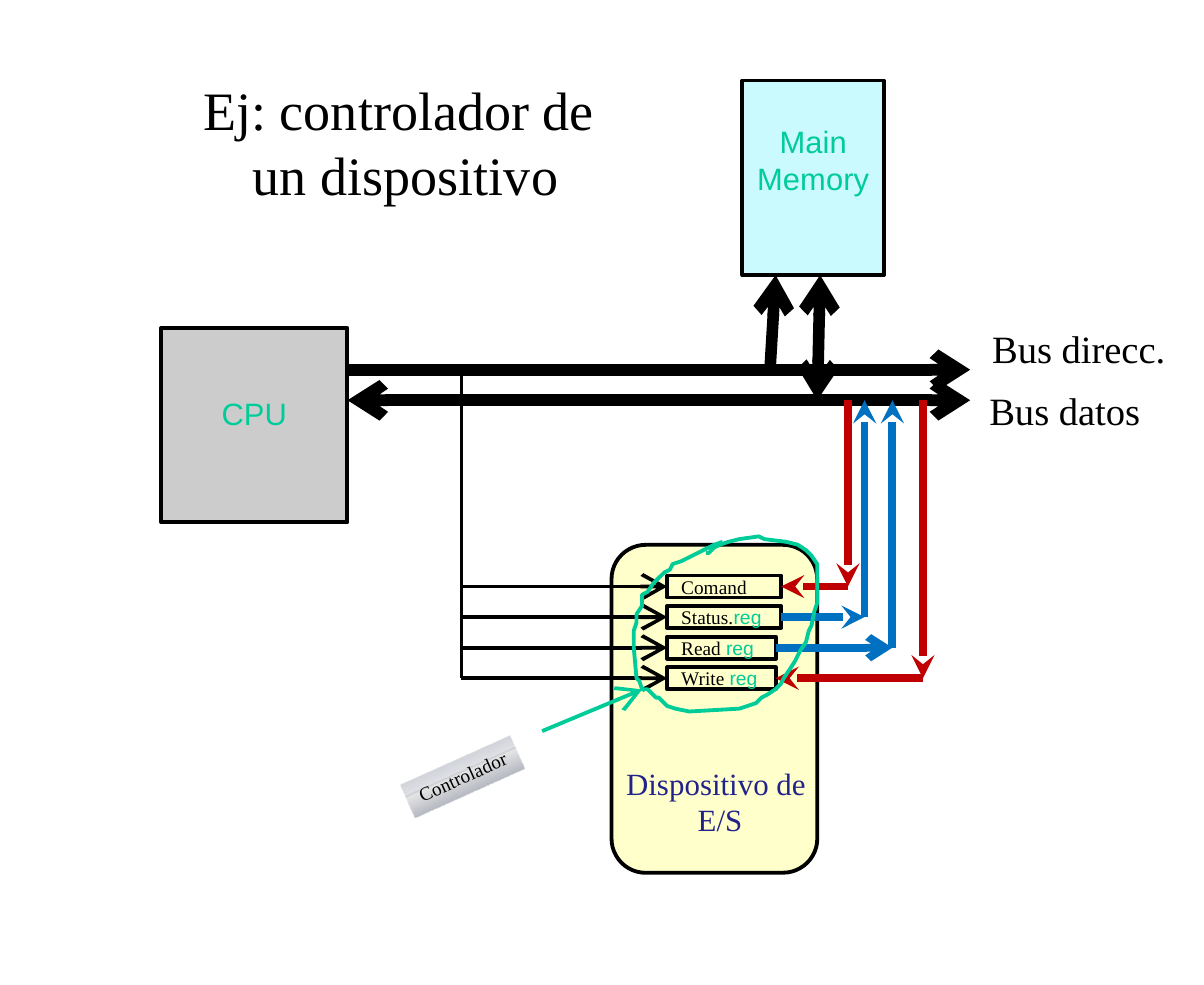
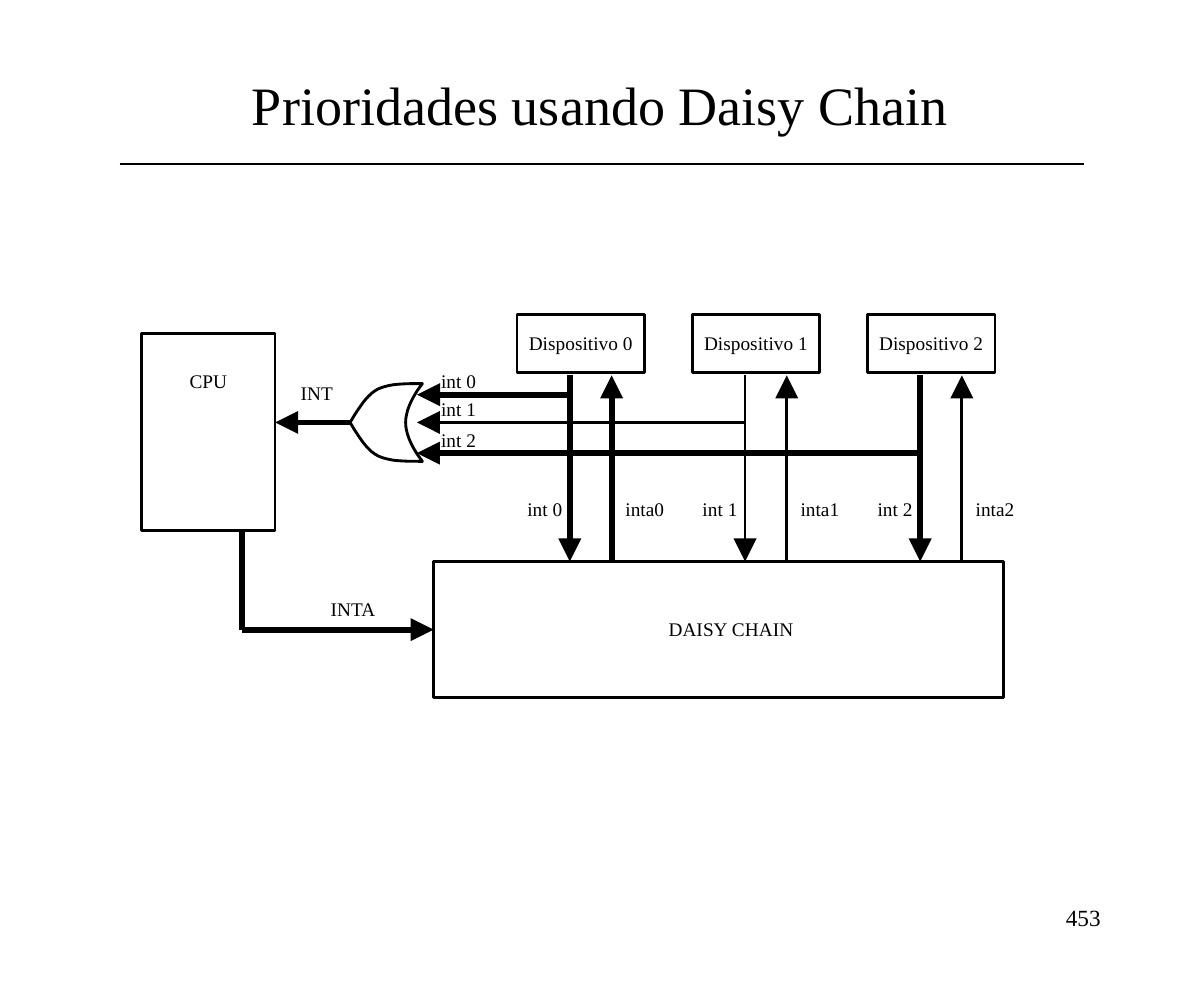
"""Build two slides on device controllers and daisy-chain interrupt priorities."""
from dataclasses import dataclass
from typing import Optional

from lxml.etree import SubElement
from pptx import Presentation
from pptx.dml.color import RGBColor
from pptx.enum.shapes import MSO_CONNECTOR, MSO_SHAPE
from pptx.enum.text import MSO_ANCHOR, MSO_AUTO_SIZE, PP_ALIGN
from pptx.oxml.ns import qn
from pptx.util import Cm, Inches, Pt

COLORS = {
    "black": "000000", "green": "00CC99", "red": "C00000", "blue": "0070C0",
    "navy": "22228B", "gray": "CCCCCC", "cyan": "CAF9FE", "cream": "FFFFCC",
}
SERIF, SANS = "Times New Roman", "Arial"
INSETS = (0.04, 0.02, 0.04, 0.02)
GRADIENT = (
    (0, "FFFFFF", 100), (7, "E6E6E6", 100), (45, "7D8496", 24),
    (47, "E6E6E6", 100), (85, "7D8496", 100), (100, "E6E6E6", 100),
)
LOOP = (
    (2.60, 1.95), (2.57, 1.96), (2.53, 1.98), (2.51, 1.99), (2.47, 2.01), (2.45, 2.02),
    (2.42, 2.03), (2.41, 2.05), (2.39, 2.06), (2.37, 2.08), (2.35, 2.10), (2.33, 2.13),
    (2.31, 2.14), (2.31, 2.18), (2.29, 2.21), (2.29, 2.24), (2.28, 2.27), (2.28, 2.33),
    (2.29, 2.44), (2.30, 2.45), (2.31, 2.48), (2.33, 2.48), (2.36, 2.51), (2.37, 2.51),
    (2.40, 2.54), (2.43, 2.55), (2.48, 2.56), (2.66, 2.55), (2.69, 2.54), (2.72, 2.53),
    (2.74, 2.51), (2.76, 2.50), (2.79, 2.48), (2.81, 2.46), (2.82, 2.44), (2.84, 2.41),
    (2.86, 2.38), (2.88, 2.34), (2.90, 2.31), (2.91, 2.27), (2.92, 2.25), (2.93, 2.20),
    (2.94, 2.17), (2.94, 2.03), (2.92, 2.00), (2.90, 1.98), (2.87, 1.96), (2.83, 1.95),
    (2.75, 1.94), (2.73, 1.93), (2.66, 1.94), (2.62, 1.95), (2.59, 1.96), (2.57, 1.97),
    (2.55, 1.99), (2.54, 1.99),
)


@dataclass(frozen=True)
class Run:
    text: str
    size: float = 5
    font: str = SERIF
    color: str = "black"


@dataclass(frozen=True)
class Register:
    runs: tuple
    width: float
    riser: float
    writable: bool
    arrow: str = "stealth"


@dataclass(frozen=True)
class Device:
    name: str
    request_y: float
    request_pt: float
    grant_pt: float


REG = Run("reg", font=SANS, color="green")
REGISTERS = (
    Register((Run("Comand"),), 0.41, 3.05, True),
    Register((Run("Status."), REG), 0.41, 3.11, False),
    Register((Run("Read "), REG), 0.39, 3.21, False, "arrow"),
    Register((Run("Write "), REG), 0.39, 3.32, True),
)
DEVICES = (
    Device("Dispositivo 0", 1.42, 1.5, 1.5),
    Device("Dispositivo 1", 1.52, 0.75, 0.75),
    Device("Dispositivo 2", 1.63, 1.5, 0.75),
)


def rgb(name: str) -> RGBColor:
    return RGBColor.from_string(COLORS[name])


def add_run(p, run: Run) -> None:
    r = p.add_run()
    r.text = run.text
    for key, value in {"size": Pt(run.size), "name": run.font}.items():
        setattr(r.font, key, value)
    r.font.color.rgb = rgb(run.color)


def set_frame(tf, insets=INSETS, anchor=MSO_ANCHOR.TOP, wrap: bool = True) -> None:
    sides = ("margin_left", "margin_top", "margin_right", "margin_bottom")
    fmt = dict(zip(sides, map(Inches, insets)))
    fmt.update(vertical_anchor=anchor, word_wrap=wrap, auto_size=MSO_AUTO_SIZE.NONE)
    for key, value in fmt.items():
        setattr(tf, key, value)


def write(tf, *lines, align=PP_ALIGN.CENTER) -> None:
    for i, runs in enumerate(lines):
        p = tf.paragraphs[0] if i == 0 else tf.add_paragraph()
        p.alignment = align
        for run in runs:
            add_run(p, run)


def place(sp, at) -> None:
    for key, value in zip(("left", "top", "width", "height"), at):
        setattr(sp, key, Inches(value))


def add_title(prs, at, *lines: str):
    s = prs.slides.add_slide(prs.slide_layouts[5])
    sp = s.shapes.title
    place(sp, at)
    set_frame(sp.text_frame, anchor=MSO_ANCHOR.MIDDLE)
    p = sp.text_frame.paragraphs[0]
    p.alignment = PP_ALIGN.CENTER
    for i, line in enumerate(lines):
        if i:
            p.add_line_break()
        add_run(p, Run(line, 14))
    return s


def add_label(s, at, *lines, wrap: bool = True, insets=INSETS, align=PP_ALIGN.CENTER):
    sp = s.shapes.add_textbox(*map(Inches, at))
    set_frame(sp.text_frame, insets, wrap=wrap)
    write(sp.text_frame, *lines, align=align)
    return sp


def style(sp, pt: float, color: str = "black", fill: Optional[str] = None) -> None:
    sp.shadow.inherit = False
    sp.line.color.rgb = rgb(color)
    sp.line.width = Pt(pt)
    if fill:
        sp.fill.solid()
        sp.fill.fore_color.rgb = rgb(fill)
    else:
        sp.fill.background()


def add_box(s, at, pt: float, *runs: Run, fill: Optional[str] = None, insets=INSETS,
            anchor=MSO_ANCHOR.MIDDLE, align=PP_ALIGN.CENTER, kind=MSO_SHAPE.RECTANGLE):
    sp = s.shapes.add_shape(kind, *map(Inches, at))
    style(sp, pt, fill=fill)
    if runs:
        set_frame(sp.text_frame, insets, anchor)
        write(sp.text_frame, runs, align=align)
    return sp


def add_line(s, start, end, pt: float, color: str = "black",
             head: Optional[str] = None, tail: Optional[str] = None):
    c = s.shapes.add_connector(MSO_CONNECTOR.STRAIGHT, *map(Inches, (*start, *end)))
    c.line.color.rgb = rgb(color)
    c.line.width = Pt(pt)
    ln = c.line._get_or_add_ln()
    for tag, kind in (("a:headEnd", head), ("a:tailEnd", tail)):
        if kind:
            SubElement(ln, qn(tag), type=kind)
    SubElement(c.element.spPr, qn("a:effectLst"))
    return c


def add_outline(s, points, pt: float, color: str, close: bool) -> None:
    start, *rest = [(Inches(x), Inches(y)) for x, y in points]
    builder = s.shapes.build_freeform(*start)
    builder.add_line_segments(rest, close=close)
    style(builder.convert_to_shape(), pt, color)


def bezier(a, b, c, d, steps: int = 10) -> list:
    curve = []
    for i in range(steps + 1):
        t = i / steps
        weights = ((1 - t) ** 3, 3 * t * (1 - t) ** 2, 3 * t * t * (1 - t), t ** 3)
        curve.append(tuple(sum(w * q[k] for w, q in zip(weights, (a, b, c, d)))
                           for k in (0, 1)))
    return curve


def add_or_gate(s, axis: float) -> None:
    half = (bezier((1.46, 1.52), (1.46, 1.57), (1.49, 1.62), (1.52, 1.66))
            + bezier((1.52, 1.66), (1.46, 1.66), (1.40, 1.66), (1.36, 1.64))
            + bezier((1.36, 1.64), (1.32, 1.62), (1.29, 1.57), (1.26, 1.52)))
    mirror = [(x, 2 * axis - y) for x, y in reversed(half)]
    add_outline(s, half + mirror, 0.75, "black", True)


def add_gradient(sp) -> None:
    sp.fill.gradient()
    sp.fill.gradient_angle = 270
    stops = sp.element.spPr.find(f".//{qn('a:gsLst')}")
    for gs in list(stops):
        stops.remove(gs)
    for pos, color, alpha in GRADIENT:
        gs = SubElement(stops, qn("a:gs"), pos=str(pos * 1000))
        clr = SubElement(gs, qn("a:srgbClr"), val=color)
        SubElement(clr, qn("a:alpha"), val=str(alpha * 1000))


def add_register(s, reg: Register, top: float, trunk: float, bus: float) -> None:
    left, height = 2.4, 0.08
    y = top + height / 2
    box = add_box(s, (left, top, reg.width, height), 1, *reg.runs,
                  insets=(0.05, 0, 0.04, 0), align=PP_ALIGN.LEFT)
    add_line(s, (trunk, y), (left, y), 1, tail="arrow").end_connect(box, 1)
    on_bus, corner, side = (reg.riser, bus), (reg.riser, y), (left + reg.width, y)
    if reg.writable:
        add_line(s, on_bus, corner, 2, "red", tail=reg.arrow)
        add_line(s, corner, side, 2, "red", tail=reg.arrow).end_connect(box, 3)
    else:
        add_line(s, corner, on_bus, 2, "blue", tail="stealth")
        add_line(s, side, corner, 2, "blue", tail=reg.arrow).begin_connect(box, 3)


def build_controller(prs) -> None:
    address, data, trunk = 1.33, 1.44, 1.66
    s = add_title(prs, (0.21, 0.13, 2.5, 0.76), "Ej: controlador de ", "un dispositivo")
    add_box(s, (0.58, 1.18, 0.67, 0.7), 1, Run("CPU", 8, SANS, "green"), fill="gray",
            insets=(0.04, 0.24, 0.04, 0.02), anchor=MSO_ANCHOR.TOP)
    add_line(s, (1.25, address), (3.49, address), 3, tail="arrow")
    add_line(s, (1.25, data), (3.49, data), 3, head="arrow", tail="arrow")
    add_label(s, (3.52, 1.15, 0.72, 0.21), (Run("Bus direcc.", 10),), wrap=False)
    add_label(s, (3.51, 1.37, 0.64, 0.21), (Run("Bus datos", 10),), wrap=False)
    add_box(s, (2.2, 1.96, 0.74, 1.18), 1, fill="cream", kind=MSO_SHAPE.ROUNDED_RECTANGLE)
    add_line(s, (trunk, address), (trunk, 2.44), 1)
    for i, reg in enumerate(REGISTERS):
        add_register(s, reg, 2.07 + 0.11 * i, trunk, data)
    add_box(s, (2.67, 0.29, 0.51, 0.7), 1, Run("Main Memory", 8, SANS, "green"),
            fill="cyan", insets=(0.04, 0.15, 0.04, 0.02), anchor=MSO_ANCHOR.TOP)
    add_line(s, (2.77, address), (2.79, 0.99), 3, tail="arrow")
    add_line(s, (2.94, data), (2.95, 0.99), 3, head="arrow", tail="arrow")
    add_outline(s, LOOP, 1, "green", False)
    tag = add_label(s, (1.45, 2.73, 0.43, 0.13), (Run("Controlador"),), wrap=False)
    tag.rotation = 335.9
    add_gradient(tag)
    add_line(s, (1.95, 2.63), (2.31, 2.48), 1, "green", tail="arrow")
    add_label(s, (2.15, 2.7, 0.88, 0.37), (Run("Dispositivo de ", 8, color="navy"),),
              (Run("E/S", 8, color="navy"),), wrap=False, insets=(0.1, 0.05, 0.1, 0.05))


def build_daisy_chain(prs) -> None:
    device_bottom, chain_top, axis, pitch = 1.35, 2.02, 1.52, 0.63
    s = add_title(prs, (0.32, 0.08, 3.68, 0.59), "Prioridades usando Daisy Chain")
    add_label(s, (3.1, 3.23, 0.9, 0.24), (Run("453", 6),), align=PP_ALIGN.RIGHT)
    add_line(s, (0.43, 0.59), (3.9, 0.59), 0.75)
    add_box(s, (0.51, 1.2, 0.48, 0.71), 0.75, Run("CPU"),
            insets=(0.04, 0.13, 0.04, 0.02), anchor=MSO_ANCHOR.TOP)
    chain = add_box(s, (1.56, chain_top, 2.05, 0.49), 0.75, Run("DAISY CHAIN"),
                    insets=(0.09, 0, 0, 0.01))
    for i, dev in enumerate(DEVICES):
        dx = pitch * i
        down, up = 2.05 + dx, 2.2 + dx
        add_box(s, (1.86 + dx, 1.13, 0.46, 0.21), 0.75, Run(dev.name), insets=(0, 0, 0, 0))
        add_line(s, (down, dev.request_y), (1.5, dev.request_y), dev.request_pt,
                 tail="triangle")
        add_line(s, (down, device_bottom), (down, chain_top), dev.request_pt, tail="triangle")
        add_line(s, (up, chain_top), (up, device_bottom), dev.grant_pt, tail="triangle")
        for left, top, text in ((1.53, dev.request_y - 0.11, f"int {i}"),
                                (1.84 + dx, 1.77, f"int {i}"),
                                (up, 1.77, f"inta{i}")):
            add_label(s, (left, top, 0.24, 0.14), (Run(text),))
    add_or_gate(s, axis)
    add_line(s, (1.26, axis), (0.99, axis), 1.5, tail="triangle")
    add_label(s, (1.02, 1.35, 0.24, 0.14), (Run("INT"),))
    add_label(s, (1.08, 2.13, 0.38, 0.12), (Run("INTA"),))
    inta_y = chain_top + 0.49 / 2
    add_line(s, (0.87, 1.91), (0.87, inta_y), 1.5)
    add_line(s, (0.87, inta_y), (1.56, inta_y), 1.5, tail="triangle").end_connect(chain, 1)


def main() -> None:
    prs = Presentation()
    prs.slide_width, prs.slide_height = Cm(11), Cm(9)
    build_controller(prs)
    build_daisy_chain(prs)
    prs.save("out.pptx")


if __name__ == "__main__":
    main()
